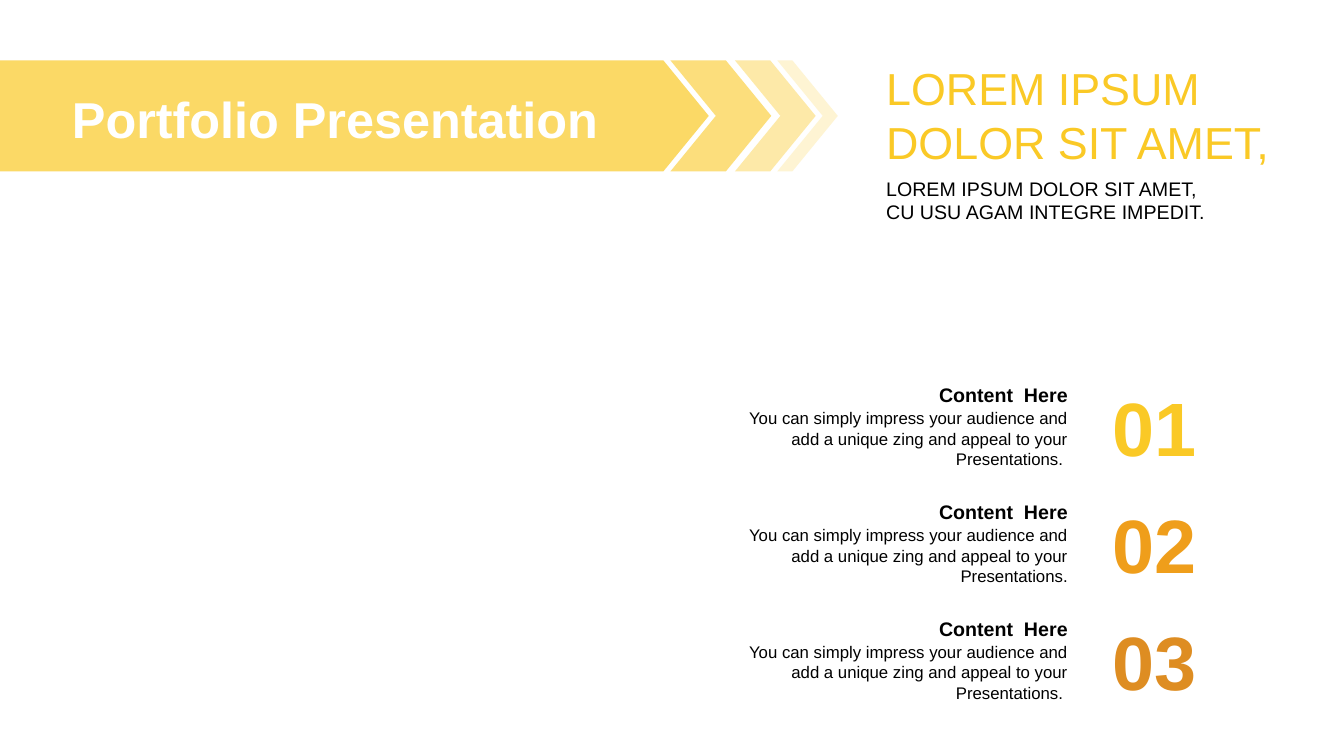
from lxml import etree
from pptx import Presentation
from pptx.dml.color import RGBColor
from pptx.enum.shapes import MSO_SHAPE as Shape
from pptx.enum.text import MSO_ANCHOR as Anchor, MSO_AUTO_SIZE as AutoSize, PP_ALIGN as Align
from pptx.oxml.ns import qn
from pptx.util import Inches, Pt

COLORS = {"yellow": "FAC926", "orange": "EF9E1B", "amber": "DE8D22",
          "black": "000000", "white": "FFFFFF"}
FONT = "Arial"

deck = Presentation()
deck.slide_width, deck.slide_height = Inches(13.33), Inches(7.5)
slide = deck.slides.add_slide(deck.slide_layouts[5])


def write(text, left, top, width, height, holder=None, size=14, color="black",
          bold=False, align=Align.LEFT, anchor=Anchor.MIDDLE, side=0.1, spacing=1.0):
    """Put text, one paragraph per line, in a new text box or in the holder."""
    box = [Inches(n) for n in (left, top, width, height)]
    if holder is None:
        holder = slide.shapes.add_textbox(*box)
    else:
        holder.left, holder.top, holder.width, holder.height = box
    frame = holder.text_frame
    frame.word_wrap = True
    frame.auto_size = AutoSize.NONE
    frame.vertical_anchor = anchor
    frame.margin_left = frame.margin_right = Inches(side)
    frame.margin_top = frame.margin_bottom = Inches(0.05)
    frame.text = text
    for paragraph in frame.paragraphs:
        paragraph.alignment = align
        paragraph.line_spacing = spacing
        paragraph.space_before = Pt(0)
        paragraph.font.name = FONT
        paragraph.font.size = Pt(size)
        paragraph.font.bold = bold
        paragraph.font.color.rgb = RGBColor.from_string(COLORS[color])


# Heading at the upper right
HEADING_LEFT, HEADING_WIDTH = 8.69, 4.05
write("LOREM IPSUM DOLOR SIT AMET,\nCU USU AGAM INTEGRE IMPEDIT.",
      HEADING_LEFT, 1.7, HEADING_WIDTH, 0.57)
write("LOREM IPSUM\nDOLOR SIT AMET,",
      HEADING_LEFT, 0.55, HEADING_WIDTH, 1.18, size=32, color="yellow")

# Numbered items, one per row
FIRST_ROW, ROW_PITCH = 3.72, 1.16
ITEM_LEFT, ITEM_WIDTH = 7.2, 3.49
BODY = "You can simply impress your audience and add a unique zing and appeal to your Presentations."
items = [("01", "yellow", BODY + " "), ("02", "orange", BODY), ("03", "amber", BODY + " ")]
for row, (number, color, body) in enumerate(items):
    top = FIRST_ROW + row * ROW_PITCH
    write(number, 10.86, top, 1.18, 1.01, size=54, color=color, bold=True,
          align=Align.CENTER, side=0.12)
    write("Content  Here", ITEM_LEFT, top + 0.03, ITEM_WIDTH, 0.34, bold=True, align=Align.RIGHT)
    write(body, ITEM_LEFT, top + 0.28, ITEM_WIDTH, 0.71, size=12,
          align=Align.RIGHT, anchor=Anchor.TOP)

# Title band, fading to the right
BAND_TOP, BAND_HEIGHT, POINT_DEPTH = 0.6, 1.1, 0.45
band = [(Shape.PENTAGON, 0, 7.03, 70), (Shape.CHEVRON, 6.65, 1, 60),
        (Shape.CHEVRON, 7.29, 0.8, 40), (Shape.CHEVRON, 7.71, 0.6, 20)]
for kind, left, width, opacity in band:
    arrow = slide.shapes.add_shape(kind, Inches(left), Inches(BAND_TOP),
                                   Inches(width), Inches(BAND_HEIGHT))
    arrow.adjustments[0] = POINT_DEPTH / min(width, BAND_HEIGHT)
    arrow.shadow.inherit = False
    arrow.line.fill.background()
    arrow.fill.solid()
    arrow.fill.fore_color.rgb = RGBColor.from_string(COLORS["yellow"])
    tint = arrow.fill._xPr.find(".//" + qn("a:srgbClr"))
    etree.SubElement(tint, qn("a:alpha")).set("val", str(opacity * 1000))

# The title stands in front of the band
title = slide.shapes.title
write("Portfolio Presentation", 0.52, 0.42, 5.61, 1.45, holder=title, size=36,
      color="white", bold=True, align=Align.CENTER, spacing=1.1)
slide.shapes._spTree.append(title._element)

deck.save("out.pptx")
